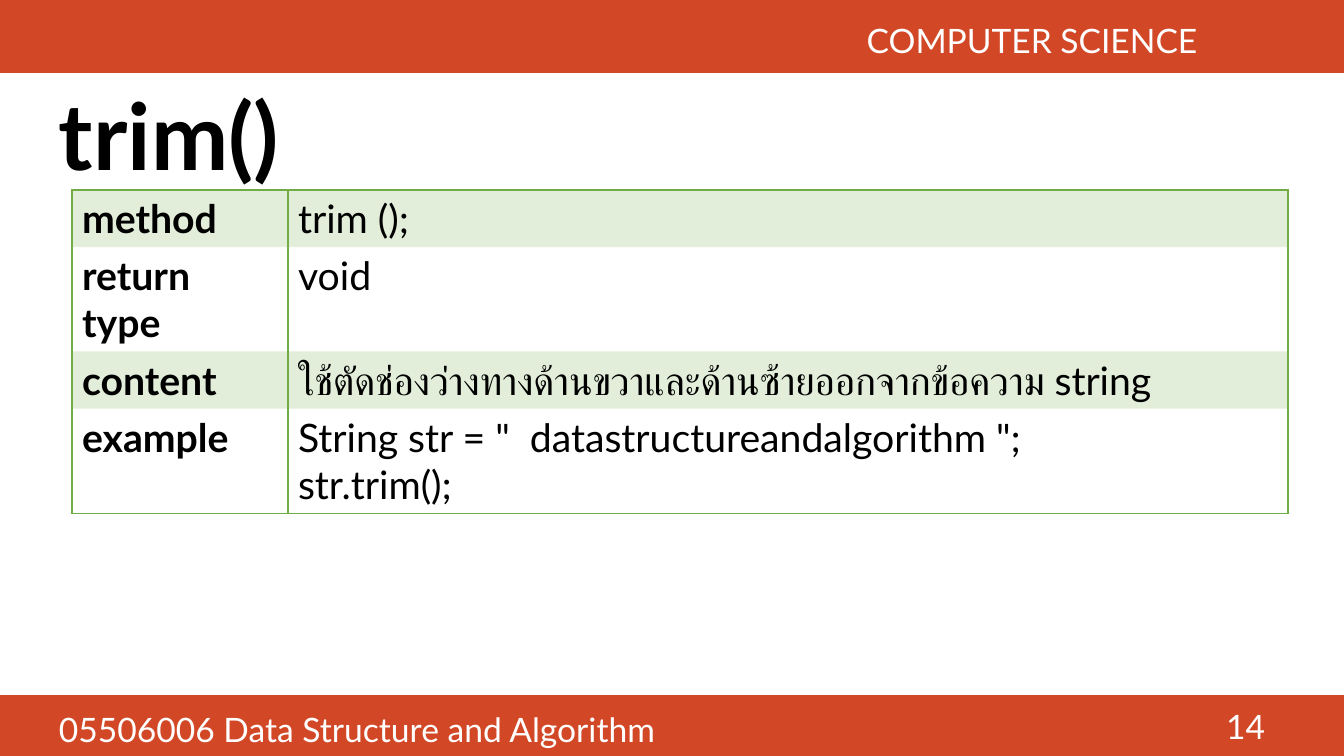
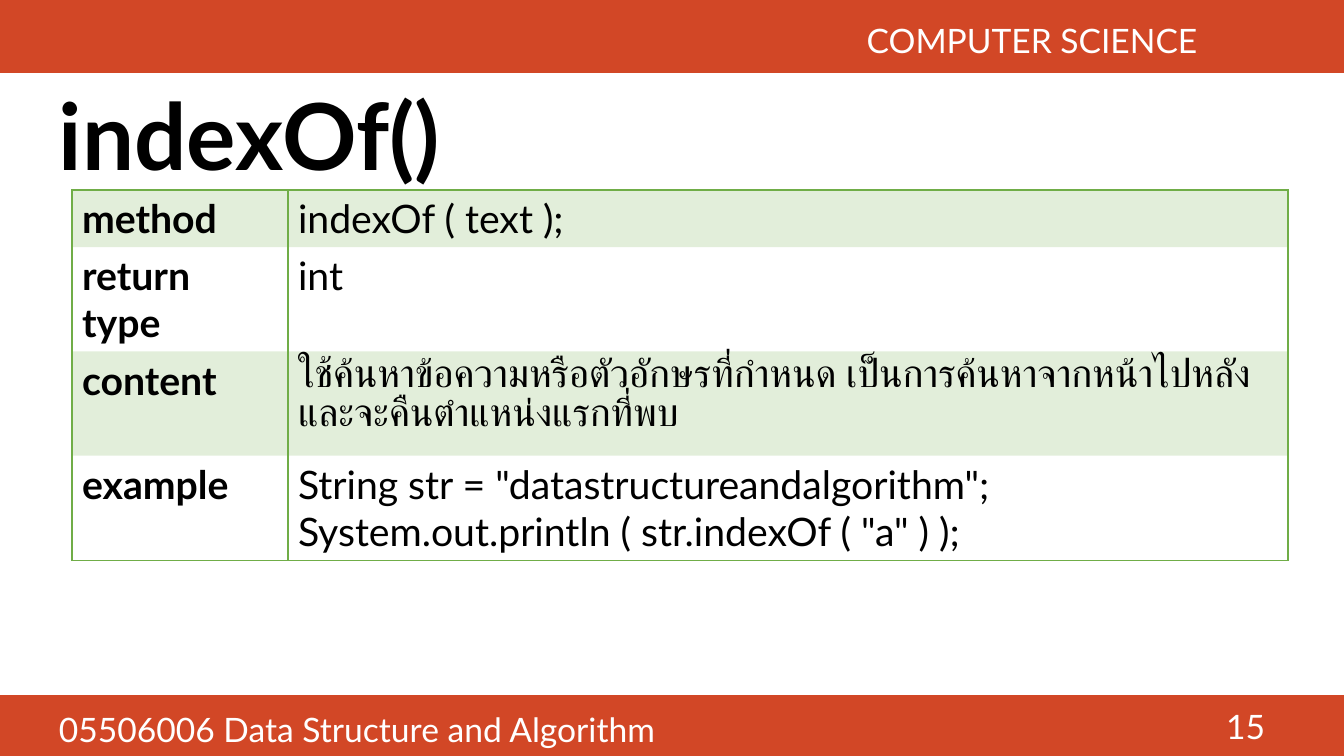
"""Builds two reference slides about Java string methods."""
from dataclasses import dataclass

from lxml import etree
from pptx import Presentation
from pptx.dml.color import RGBColor
from pptx.enum.shapes import MSO_SHAPE
from pptx.enum.text import MSO_ANCHOR, PP_ALIGN
from pptx.oxml.ns import qn
from pptx.slide import Slide
from pptx.table import _Cell
from pptx.text.text import TextFrame
from pptx.util import Emu, Pt

RECTANGLE = MSO_SHAPE.RECTANGLE
LEFT, RIGHT = PP_ALIGN.LEFT, PP_ALIGN.RIGHT
TOP, MIDDLE = MSO_ANCHOR.TOP, MSO_ANCHOR.MIDDLE

EMU_PER_PIXEL = 914400 / 100.8
FONT = "Lato"
COLORS = {"band": "D24726", "grid": "70AD47", "ink": "000000", "light": "FFFFFF"}
PLAIN_TABLE_STYLE = "{2D5ABB26-0587-4C30-8999-92F81FD0307C}"
STRIPE_ALPHA = 20
ROW_LABELS = ("method", "return type", "content", "example")
COLUMN_WIDTHS = (216, 1000)


@dataclass(frozen=True)
class Box:
    """A rectangle in pixels."""
    left: int
    top: int
    width: int
    height: int

    def emu(self) -> tuple[Emu, Emu, Emu, Emu]:
        """Return the rectangle in EMU."""
        return px(self.left), px(self.top), px(self.width), px(self.height)


@dataclass(frozen=True)
class Caption:
    """A line of white text on a band."""
    text: str
    box: Box
    align: PP_ALIGN = LEFT
    anchor: MSO_ANCHOR = TOP


@dataclass(frozen=True)
class MethodPage:
    """The content of one slide."""
    number: int
    title: str
    details: tuple[str, str, str, str]
    row_heights: tuple[int, int, int, int]


TITLE_BOX = Box(49, 77, 1238, 128)
TABLE_ORIGIN = (72, 190)
BANDS = (Box(0, 695, 1344, 61), Box(0, 0, 1344, 73))
CAPTIONS = (
    Caption("COMPUTER SCIENCE ", Box(-3, 15, 1219, 54), RIGHT),
    Caption("05506006 Data Structure and Algorithm", Box(49, 704, 1157, 67)),
)
PAGE_NUMBER_BOX = Box(973, 706, 302, 40)

PAGES = (
    MethodPage(
        14,
        "trim()",
        (
            "trim ();",
            "void",
            "ใช้ตัดช่องว่างทางด้านขวาและด้านซ้ายออกจากข้อความ string",
            'String str = "  datastructureandalgorithm ";\nstr.trim();',
        ),
        (57, 104, 57, 105),
    ),
    MethodPage(
        15,
        "indexOf()",
        (
            "indexOf ( text );",
            "int",
            "ใช้ค้นหาข้อความหรือตัวอักษรที่กำหนด เป็นการค้นหาจากหน้าไปหลัง และจะคืนตำแหน่งแรกที่พบ",
            'String str = "datastructureandalgorithm";\n'
            'System.out.println ( str.indexOf ( "a" ) );',
        ),
        (57, 104, 88, 105),
    ),
)


def px(pixels: int) -> Emu:
    """Turn pixels into EMU."""
    return Emu(round(pixels * EMU_PER_PIXEL))


def write_text(frame: TextFrame, text: str, *, size: int, color: str = "ink",
               bold: bool = False, align: PP_ALIGN = LEFT,
               line_spacing: float = 1.0) -> None:
    """Fill a text frame with one paragraph for each line of text."""
    frame.word_wrap = True
    for index, line in enumerate(text.split("\n")):
        paragraph = frame.add_paragraph() if index else frame.paragraphs[0]
        paragraph.alignment = align
        paragraph.line_spacing = line_spacing
        run = paragraph.add_run()
        run.text = line
        run.font.name = FONT
        run.font.size = Pt(size)
        run.font.bold = bold
        run.font.color.rgb = RGBColor.from_string(COLORS[color])


def draw_band(slide: Slide, box: Box) -> None:
    """Draw a full-width colour band."""
    band = slide.shapes.add_shape(RECTANGLE, *box.emu())
    band.shadow.inherit = False
    band.fill.solid()
    band.fill.fore_color.rgb = RGBColor.from_string(COLORS["band"])
    band.line.fill.background()


def draw_caption(slide: Slide, caption: Caption) -> None:
    """Draw white text on a band."""
    frame = slide.shapes.add_textbox(*caption.box.emu()).text_frame
    frame.vertical_anchor = caption.anchor
    write_text(frame, caption.text, size=24, color="light", align=caption.align)


def draw_title(slide: Slide, title: str) -> None:
    """Draw the slide title."""
    frame = slide.shapes.add_textbox(*TITLE_BOX.emu()).text_frame
    frame.vertical_anchor = MIDDLE
    write_text(frame, title, size=66, bold=True, line_spacing=0.9)


def add_borders(cell: _Cell, edges: str) -> None:
    """Draw grid lines on the named edges, given in the order L, R, T, B."""
    properties = cell._tc.get_or_add_tcPr()
    for edge in edges:
        border = etree.SubElement(properties, qn(f"a:ln{edge}"), w=str(Pt(1)))
        fill = etree.SubElement(border, qn("a:solidFill"))
        etree.SubElement(fill, qn("a:srgbClr"), val=COLORS["grid"])


def fill_cell(cell: _Cell, striped: bool) -> None:
    """Give a cell the translucent stripe, or no fill."""
    if not striped:
        cell.fill.background()
        return
    cell.fill.solid()
    cell.fill.fore_color.rgb = RGBColor.from_string(COLORS["grid"])
    tint = cell._tc.tcPr.find(f"{qn('a:solidFill')}/{qn('a:srgbClr')}")
    etree.SubElement(tint, qn("a:alpha"), val=str(STRIPE_ALPHA * 1000))


def draw_method_table(slide: Slide, page: MethodPage) -> None:
    """Draw the table that describes a method."""
    box = Box(*TABLE_ORIGIN, sum(COLUMN_WIDTHS), sum(page.row_heights))
    table = slide.shapes.add_table(
        len(ROW_LABELS), len(COLUMN_WIDTHS), *box.emu()).table
    table.first_row = False
    table.horz_banding = False
    table._tbl.tblPr.find(qn("a:tableStyleId")).text = PLAIN_TABLE_STYLE
    for column, width in zip(table.columns, COLUMN_WIDTHS):
        column.width = px(width)
    last = len(ROW_LABELS) - 1
    for row, entry in enumerate(zip(ROW_LABELS, page.details)):
        table.rows[row].height = px(page.row_heights[row])
        edges = "LR" + ("T" if row == 0 else "") + ("B" if row == last else "")
        for column, text in enumerate(entry):
            cell = table.cell(row, column)
            add_borders(cell, edges)
            fill_cell(cell, striped=row % 2 == 0)
            write_text(cell.text_frame, text, size=28, bold=column == 0)


def draw_page(slide: Slide, page: MethodPage) -> None:
    """Draw one whole slide."""
    draw_title(slide, page.title)
    for band in BANDS:
        draw_band(slide, band)
    number = Caption(str(page.number), PAGE_NUMBER_BOX, RIGHT, MIDDLE)
    for caption in (*CAPTIONS, number):
        draw_caption(slide, caption)
    draw_method_table(slide, page)


def main() -> None:
    """Build and save the presentation."""
    presentation = Presentation()
    presentation.slide_width = px(1344)
    presentation.slide_height = px(756)
    blank_layout = presentation.slide_layouts[6]
    for page in PAGES:
        draw_page(presentation.slides.add_slide(blank_layout), page)
    presentation.save("out.pptx")


main()
